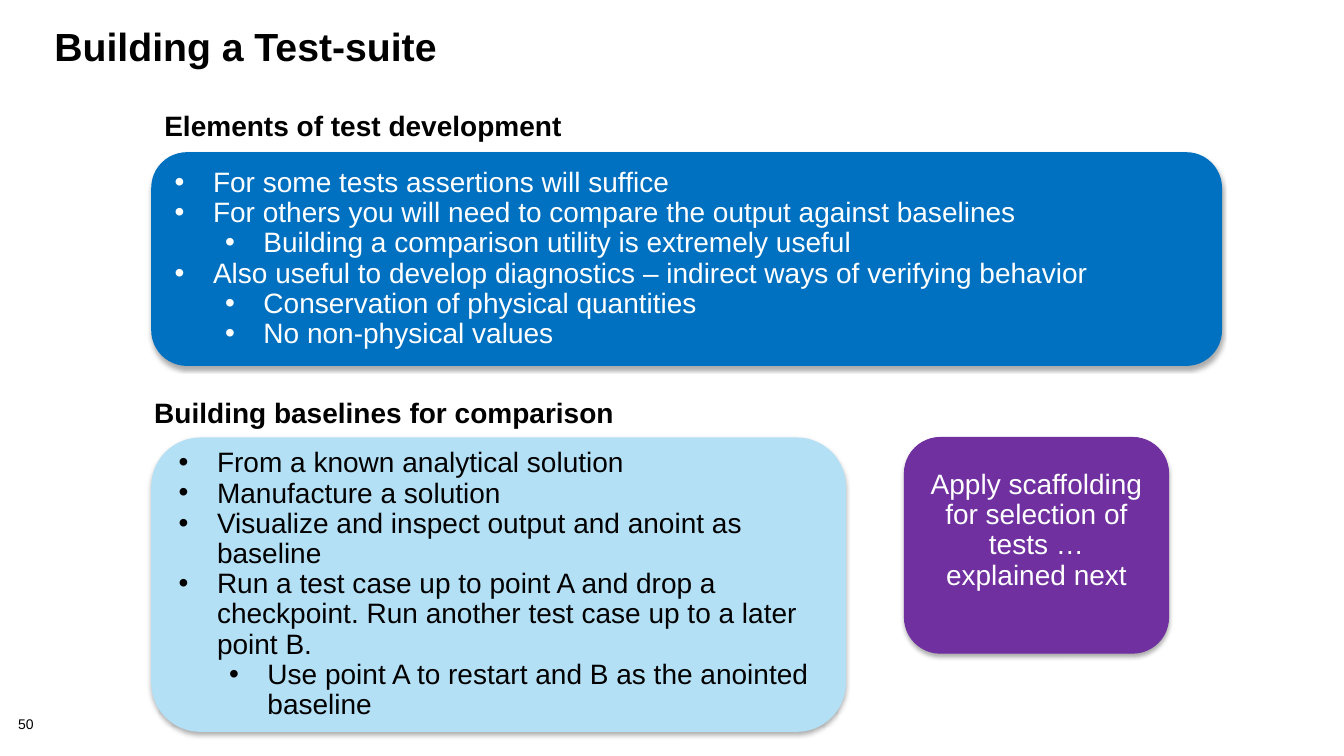
from lxml.etree import SubElement
from pptx import Presentation
from pptx.dml.color import RGBColor as RGB
from pptx.enum.shapes import MSO_SHAPE as Shape
from pptx.enum.text import MSO_ANCHOR as Anchor, MSO_AUTO_SIZE as AutoSize, PP_ALIGN as Align
from pptx.oxml.ns import qn
from pptx.util import Inches, Pt

COLORS = {
    "black": "000000",
    "white": "FFFFFF",
    "blue": "0070C0",
    "sky": "B4E0F5",
    "purple": "7030A0",
}
HEADING = {"size": Pt(20), "bold": True}
BODY = {"size": Pt(20), "bold": False}
LEFT = 1.5
CARD_TOP = 4.34
STEP = 0.38
LEVEL_STEP = 0.5


def write(frame, lines, color, font, layout, spacing=0.9, align=Align.LEFT, bullets=False):
    for name, value in layout.items():
        setattr(frame, name, value)
    for index, (level, words) in enumerate(lines):
        paragraph = frame.paragraphs[0] if index == 0 else frame.add_paragraph()
        for name, value in {"level": level, "alignment": align, "line_spacing": spacing,
                            "space_before": Pt(0), "space_after": Pt(0)}.items():
            setattr(paragraph, name, value)
        if bullets:
            properties = paragraph._p.get_or_add_pPr()
            properties.set("marL", str(Inches(STEP + level * LEVEL_STEP)))
            properties.set("indent", str(-Inches(STEP)))
            SubElement(properties, qn("a:buFont"), typeface="Arial")
            SubElement(properties, qn("a:buChar"), char="•")
        run = paragraph.add_run()
        run.text = words
        for name, value in {"name": "Arial", **font}.items():
            setattr(run.font, name, value)
        run.font.color.rgb = RGB.from_string(COLORS[color])


def margins(side, top, bottom):
    return {"margin_left": Inches(side), "margin_right": Inches(side),
            "margin_top": Inches(top), "margin_bottom": Inches(bottom)}


deck = Presentation()
deck.slide_width, deck.slide_height = Inches(13.33), Inches(7.5)
slide = deck.slides.add_slide(deck.slide_layouts[5])

title = slide.shapes.title
for name, value in {"left": 0.44, "top": 0.24, "width": 12.44, "height": 1}.items():
    setattr(title, name, Inches(value))
write(title.text_frame, [(0, "Building a Test-suite")], "black", {"size": Pt(28), "bold": True},
      {"vertical_anchor": Anchor.TOP, "word_wrap": True, "auto_size": AutoSize.NONE,
       **margins(0.1, 0.05, 0.05)}, spacing=0.85)

page_number = slide.shapes.add_textbox(*map(Inches, (0.18, 7.12, 0.56, 0.16)))
write(page_number.text_frame, [(0, "50")], "black", {"size": Pt(10)},
      {"word_wrap": True, **margins(0, 0, 0)})

baselines = [
    (0, "From a known analytical solution"),
    (0, "Manufacture a solution"),
    (0, "Visualize and inspect output and anoint as baseline"),
    (0, "Run a test case up to point A and drop a checkpoint. "
        "Run another test case up to a later point B."),
    (1, "Use point A to restart and B as the anointed baseline"),
]
elements = [
    (0, "For some tests assertions will suffice"),
    (0, "For others you will need to compare the output against baselines"),
    (1, "Building a comparison utility is extremely useful"),
    (0, "Also useful to develop diagnostics – indirect ways of verifying behavior"),
    (1, "Conservation of physical quantities"),
    (1, "No non-physical values"),
]
scaffolding = [(0, "Apply scaffolding for selection of tests … explained next")]

cards = [
    ((LEFT, CARD_TOP, 6.89, 2.92), "sky", "black", baselines, Align.LEFT, 0.07),
    ((LEFT, 1.51, 10.62, 2.12), "blue", "white", elements, Align.LEFT, 0.07),
    ((8.97, CARD_TOP, 2.62, 2.14), "purple", "white", scaffolding, Align.CENTER, 0.36),
]
for box, fill, ink, lines, align, bottom in cards:
    card = slide.shapes.add_shape(Shape.ROUNDED_RECTANGLE, *map(Inches, box))
    card.fill.solid()
    card.fill.fore_color.rgb = RGB.from_string(COLORS[fill])
    if fill == "purple":
        card.line.color.rgb = RGB.from_string(COLORS[fill])
        card.line.width = Pt(0.75)
    else:
        card.line.fill.background()
    card.shadow.inherit = False
    effects = card._element.spPr.find(qn("a:effectLst"))
    shadow = SubElement(effects, qn("a:outerShdw"), blurRad=str(Pt(3.5)), dist=str(Pt(2.2)),
                        dir="5400000", rotWithShape="0")
    shade = SubElement(shadow, qn("a:srgbClr"), val=COLORS["black"])
    SubElement(shade, qn("a:alpha"), val="32000")
    write(card.text_frame, lines, ink, BODY,
          {"vertical_anchor": Anchor.MIDDLE, "word_wrap": True, **margins(0.13, 0.07, bottom)},
          align=align, bullets=align == Align.LEFT)

headings = [
    ((LEFT, 1.01, 4.23, 0.5), "Elements of test development"),
    ((1.4, 3.86, 4.86, 0.5), "Building baselines for comparison"),
]
for box, words in headings:
    heading = slide.shapes.add_textbox(*map(Inches, box))
    write(heading.text_frame, [(0, words)], "black", HEADING,
          {"vertical_anchor": Anchor.MIDDLE, "word_wrap": False,
           "auto_size": AutoSize.SHAPE_TO_FIT_TEXT, **margins(0.13, 0.1, 0.1)})

deck.save("out.pptx")
